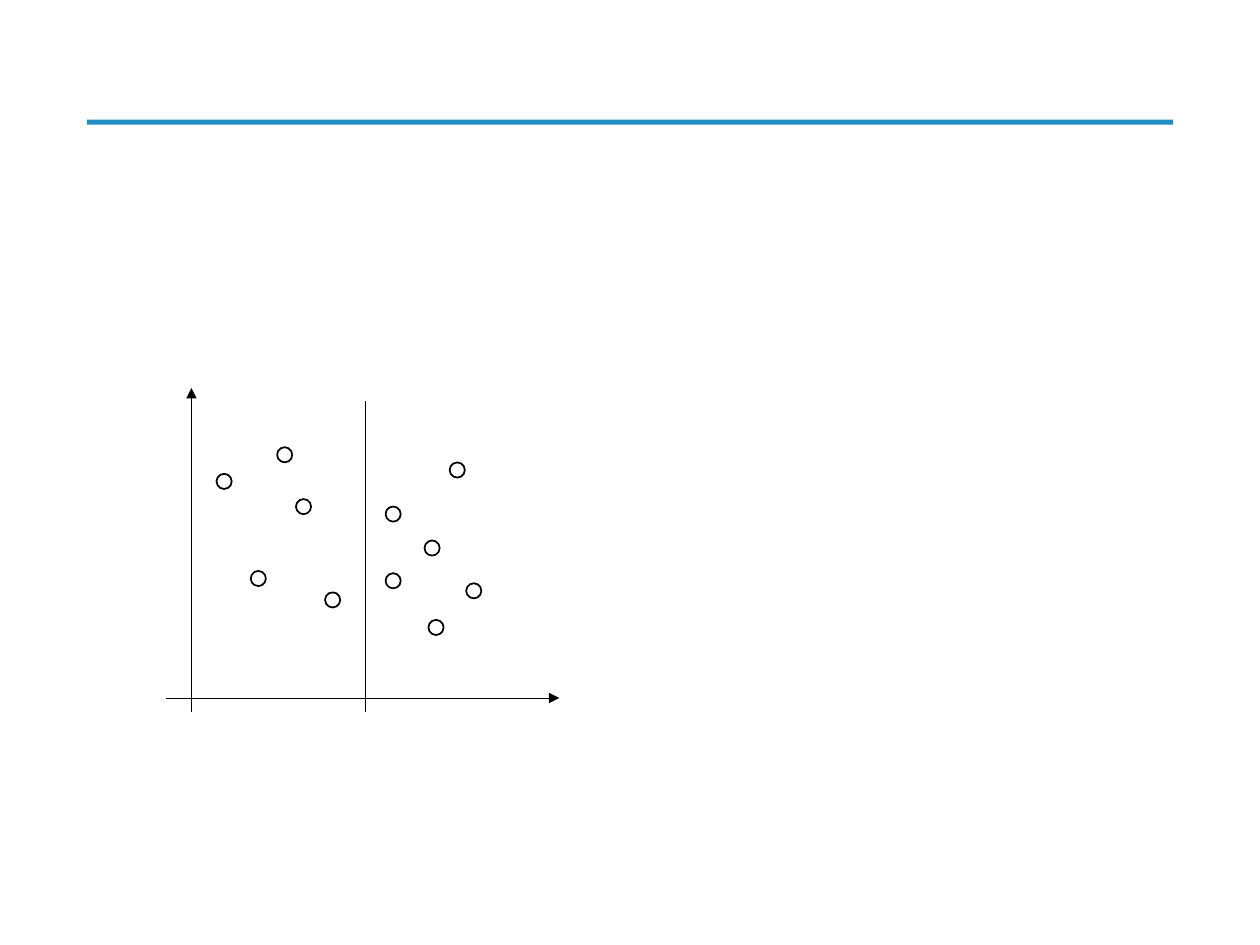
from pptx import Presentation
from pptx.dml.color import RGBColor as RGB
from pptx.enum.shapes import MSO_CONNECTOR as Conn, MSO_SHAPE as Shape
from pptx.oxml.ns import qn
from pptx.util import Inches, Pt
from lxml.etree import SubElement as Sub

COLORS = {"rule": "208DC3", "ink": "000000"}
DOT = Inches(0.12)

# Dot centres, in percent of the plot box
LEFT = [(14.7, 28.8), (30.1, 20.6), (34.9, 36.6), (23.4, 58.8), (42.3, 65.4)]
RIGHT = [(57.7, 38.9), (74, 25.3), (67.6, 49.4), (57.7, 59.5),
         (78.2, 62.6), (68.6, 73.9)]


def color(name):
    return RGB.from_string(COLORS[name])


def share(box, x, y):
    """Turn percent of a box into a point on the slide."""
    left, top, width, height = box
    return round(left + width * x / 100), round(top + height * y / 100)


def draw_line(slide, start, end, arrow=False):
    line = slide.shapes.add_connector(Conn.STRAIGHT, *start, *end)
    line.line.color.rgb = color("ink")
    line.line.width = Pt(0.5)
    if arrow:
        Sub(line.line._get_or_add_ln(), qn("a:tailEnd"), type="triangle")
    Sub(line._element.spPr, qn("a:effectLst"))


def draw_dot(slide, x, y):
    dot = slide.shapes.add_shape(Shape.OVAL, x - DOT // 2, y - DOT // 2, DOT, DOT)
    dot.shadow.inherit = False
    dot.fill.background()
    dot.line.color.rgb = color("ink")
    dot.line.width = Pt(1)


def draw_rule(slide, box):
    bar = slide.shapes.add_shape(Shape.RECTANGLE, *box)
    bar.shadow.inherit = False
    bar.fill.solid()
    bar.fill.fore_color.rgb = color("rule")
    bar.line.fill.background()


def draw_plot(slide, box):
    # Axes
    draw_line(slide, share(box, 6.4, 100), share(box, 6.4, 0), arrow=True)
    draw_line(slide, share(box, 0, 95.7), share(box, 100, 95.7), arrow=True)
    # Split between the two groups
    draw_line(slide, share(box, 50.6, 100), share(box, 50.6, 3.9))
    # Data points
    for x, y in LEFT + RIGHT:
        draw_dot(slide, *share(box, x, y))


def main():
    deck = Presentation()
    deck.slide_width, deck.slide_height = Inches(10), Inches(7.5)
    slide = deck.slides.add_slide(deck.slide_layouts[6])
    page = (0, 0, deck.slide_width, deck.slide_height)
    draw_rule(slide, share(page, 6.9, 12.67) + share(page, 86.2, 0.53))
    draw_plot(slide, share(page, 13.2, 41.07) + share(page, 31.2, 34.27))
    deck.save("out.pptx")


if __name__ == "__main__":
    main()
